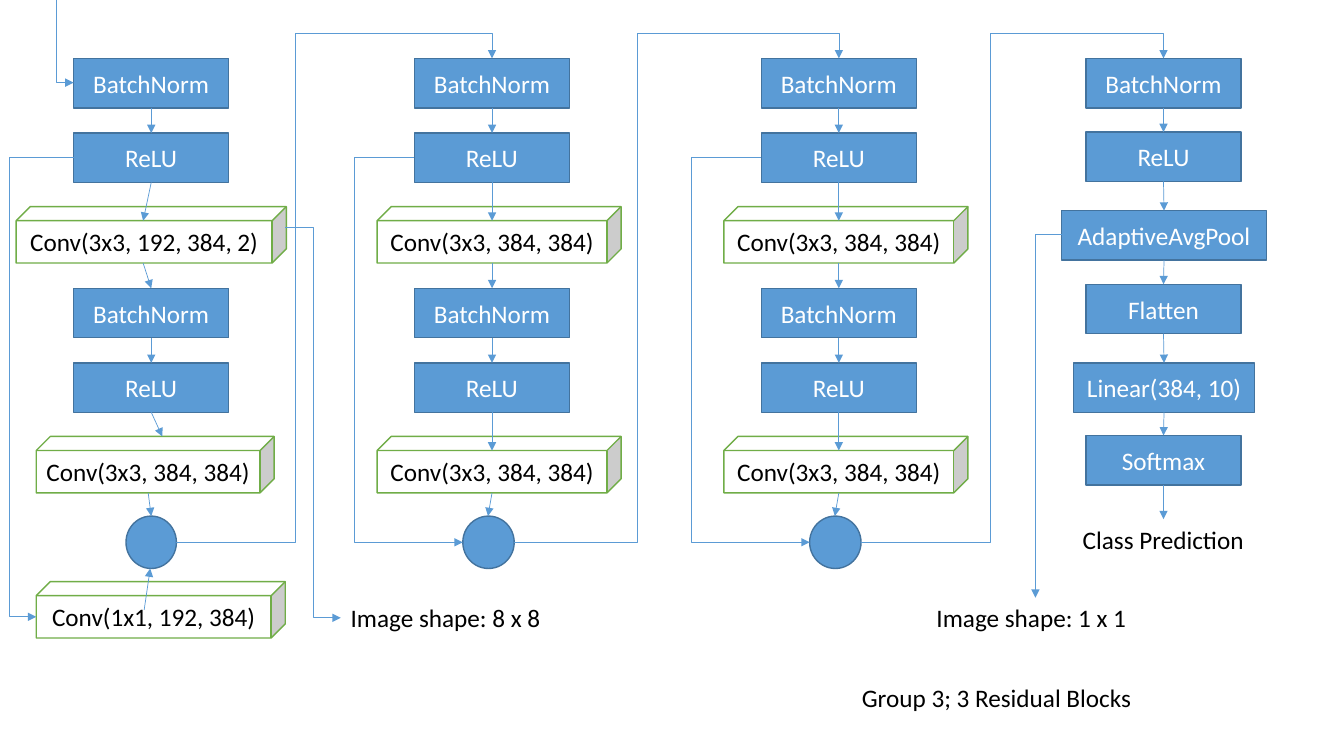
from lxml.etree import SubElement
from pptx import Presentation
from pptx.dml.color import RGBColor
from pptx.enum.shapes import MSO_CONNECTOR, MSO_SHAPE
from pptx.enum.text import MSO_ANCHOR, PP_ALIGN
from pptx.oxml.ns import qn
from pptx.util import Pt

PX = 9144
BLUE = RGBColor(0x5B, 0x9B, 0xD5)
DARK_BLUE = RGBColor(0x43, 0x73, 0x9E)
GREEN = RGBColor(0x70, 0xAD, 0x47)
WHITE = RGBColor(0xFF, 0xFF, 0xFF)
BLACK = RGBColor(0x00, 0x00, 0x00)

LAYER_WIDTH, LAYER_HEIGHT = 154, 49
CONV_HEIGHT, CONV_DEPTH = 56, 14
CIRCLE_TOP, CIRCLE_HEIGHT = 512, 52
CIRCLE_MIDDLE = CIRCLE_TOP + CIRCLE_HEIGHT // 2
BUS_TOP = 33

deck = Presentation()
deck.slide_width, deck.slide_height = 1333 * PX, 750 * PX
page = deck.slides.add_slide(deck.slide_layouts[6])


def add_box(kind, left, top, width, height, text=""):
    box = page.shapes.add_shape(kind, left * PX, top * PX, width * PX, height * PX)
    is_conv = kind == MSO_SHAPE.CUBE
    box.shadow.inherit = False
    box.fill.solid()
    box.fill.fore_color.rgb = WHITE if is_conv else BLUE
    box.line.color.rgb = GREEN if is_conv else DARK_BLUE
    box.line.width = Pt(1)
    if text:
        frame = box.text_frame
        frame.text = text
        frame.vertical_anchor = MSO_ANCHOR.MIDDLE
        para = frame.paragraphs[0]
        para.alignment = PP_ALIGN.CENTER
        font = para.runs[0].font
        font.name, font.size = "Calibri", Pt(18)
        font.color.rgb = BLACK if is_conv else WHITE
    return box


def add_arrow(start, finish, bends=0, via=(), arrow_end="tailEnd"):
    kind = MSO_CONNECTOR.ELBOW if bends else MSO_CONNECTOR.STRAIGHT
    ends = [length * PX for length in (*start, *finish)]
    arrow = page.shapes.add_connector(kind, *ends)
    arrow.line.color.rgb = BLUE
    arrow.line.width = Pt(0.5)
    properties = arrow._element.spPr
    SubElement(arrow.line._get_or_add_ln(), qn(f"a:{arrow_end}"), type="triangle")
    SubElement(properties, qn("a:effectLst"))
    if bends:
        geometry = properties.find(qn("a:prstGeom"))
        geometry.set("prst", f"bentConnector{bends + 1}")
        guides = geometry.find(qn("a:avLst"))
        for axis, position in enumerate(via):
            share = (position - start[axis]) / (finish[axis] - start[axis])
            SubElement(guides, qn("a:gd"), name=f"adj{axis + 1}",
                       fmla=f"val {round(share * 100000)}")
    return arrow


blocks = [
    (73, (16, 268, 142), "Conv(3x3, 192, 384, 2)", (36, 236, 147), 125, 50),
    (411, (374, 242, 488), "Conv(3x3, 384, 384)", (374, 242, 488), 459, 51),
    (755, (718, 242, 832), "Conv(3x3, 384, 384)", (718, 242, 832), 803, 51),
]
circle_rights = []
block_norms = []
for left, first_conv, first_text, second_conv, circle_left, circle_width in blocks:
    center = left + LAYER_WIDTH // 2
    layers = []
    for top, (conv_left, conv_width, conv_center), conv_text in (
            (58, first_conv, first_text),
            (286, second_conv, "Conv(3x3, 384, 384)")):
        norm, relu = [
            add_box(MSO_SHAPE.RECTANGLE, left, layer_top, LAYER_WIDTH, LAYER_HEIGHT, name)
            for layer_top, name in ((top, "BatchNorm"), (top + 74, "ReLU"))]
        add_box(MSO_SHAPE.CUBE, conv_left, top + 147, conv_width, CONV_HEIGHT, conv_text)
        arrow = add_arrow((center, top + LAYER_HEIGHT), (center, top + 74))
        arrow.begin_connect(norm, 2)
        arrow.end_connect(relu, 0)
        slanted = conv_left == 36
        target = (161, top + 147) if slanted else (conv_center, top + 147 + CONV_DEPTH)
        add_arrow((center, top + 123), target).begin_connect(relu, 2)
        layers.append(norm)
    add_arrow((first_conv[2], 261), (center, 286)).end_connect(layers[1], 0)
    add_box(MSO_SHAPE.OVAL, circle_left, CIRCLE_TOP, circle_width, CIRCLE_HEIGHT)
    add_arrow((second_conv[2], 489), (circle_left + circle_width // 2, CIRCLE_TOP))
    circle_rights.append(circle_left + circle_width)
    block_norms.append(center)

add_box(MSO_SHAPE.CUBE, 36, 577, 247, CONV_HEIGHT, "Conv(1x1, 192, 384)")
add_arrow((143, 605), (149, 564))

head_layers = [
    (1077, 58, 154, "BatchNorm"),
    (1077, 131, 154, "ReLU"),
    (1053, 209, 203, "AdaptiveAvgPool"),
    (1077, 282, 154, "Flatten"),
    (1065, 360, 179, "Linear(384, 10)"),
    (1077, 432, 154, "Softmax"),
]
previous = None
for left, top, width, name in head_layers:
    layer = add_box(MSO_SHAPE.RECTANGLE, left, top, width, LAYER_HEIGHT, name)
    if previous:
        arrow = add_arrow((1154, top - 24), (1154, top))
        arrow.begin_connect(previous, 2)
        arrow.end_connect(layer, 0)
    previous = layer
add_arrow((1154, 481), (1154, 515)).begin_connect(previous, 2)

for start, finish, lane in (
        ((73, 156), (36, 612), 9),
        ((411, 156), (459, CIRCLE_MIDDLE), 351),
        ((755, 156), (803, CIRCLE_MIDDLE), 686),
        ((283, 226), (338, 613), 311)):
    add_arrow(start, finish, 2, (lane,))

for right, lane, target in zip(circle_rights, (293, 632, 982), (*block_norms[1:], 1154)):
    add_arrow((right, CIRCLE_MIDDLE), (target, 58), 3, (lane, BUS_TOP))

add_arrow((73, 82), (56, 0), 1, arrow_end="headEnd")
add_arrow((1053, 233), (1027, 593), 1)

for left, top, width, text in (
        (845, 672, 290, "Group 3; 3 Residual Blocks"),
        (1064, 515, 182, "Class Prediction"),
        (338, 593, 217, "Image shape: 8 x 8"),
        (919, 593, 217, "Image shape: 1 x 1")):
    label = page.shapes.add_textbox(left * PX, top * PX, width * PX, 40 * PX)
    label.text_frame.text = text
    label.text_frame.word_wrap = width == 290
    font = label.text_frame.paragraphs[0].runs[0].font
    font.name, font.size = "Calibri", Pt(18)
    font.color.rgb = BLACK

deck.save("out.pptx")
